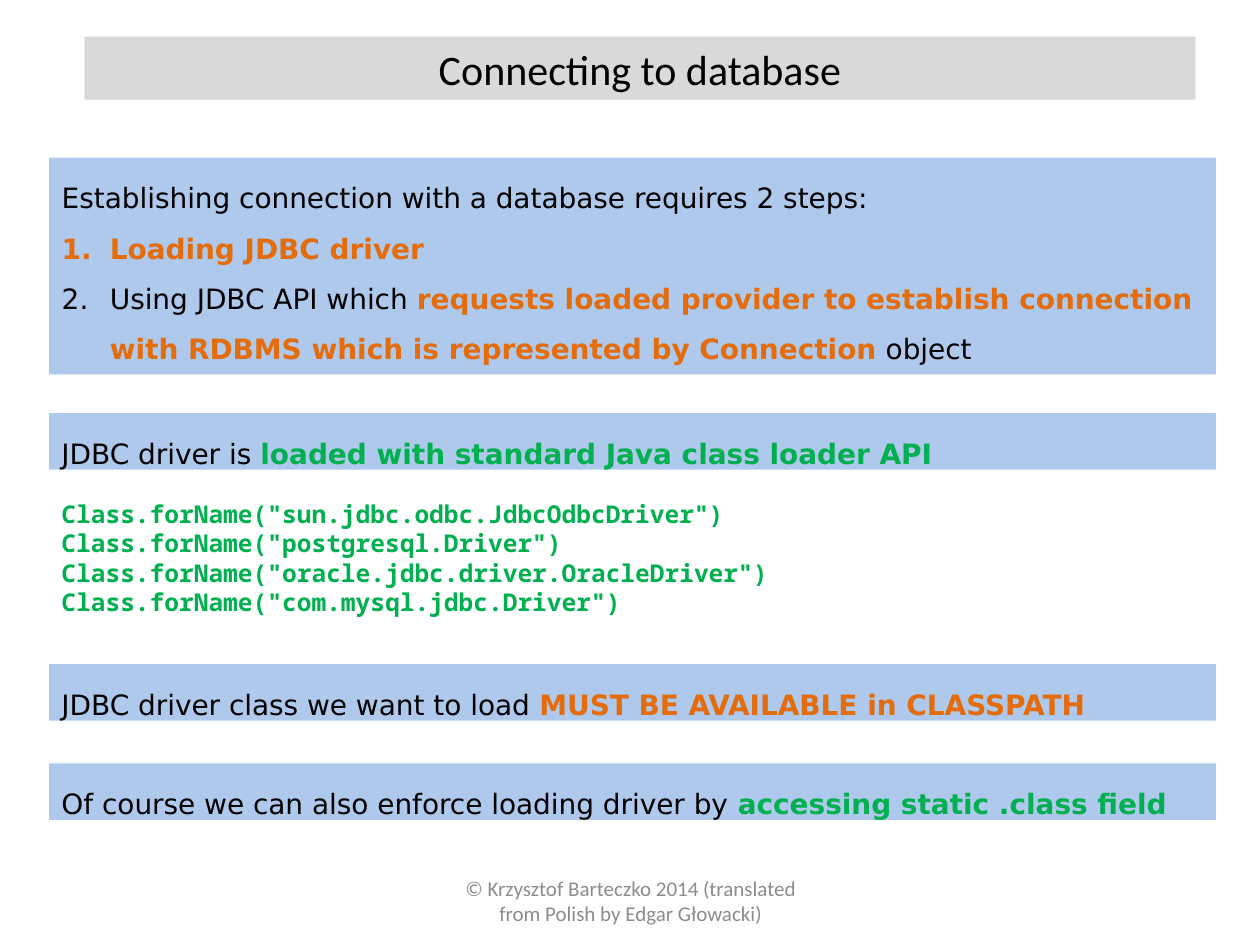
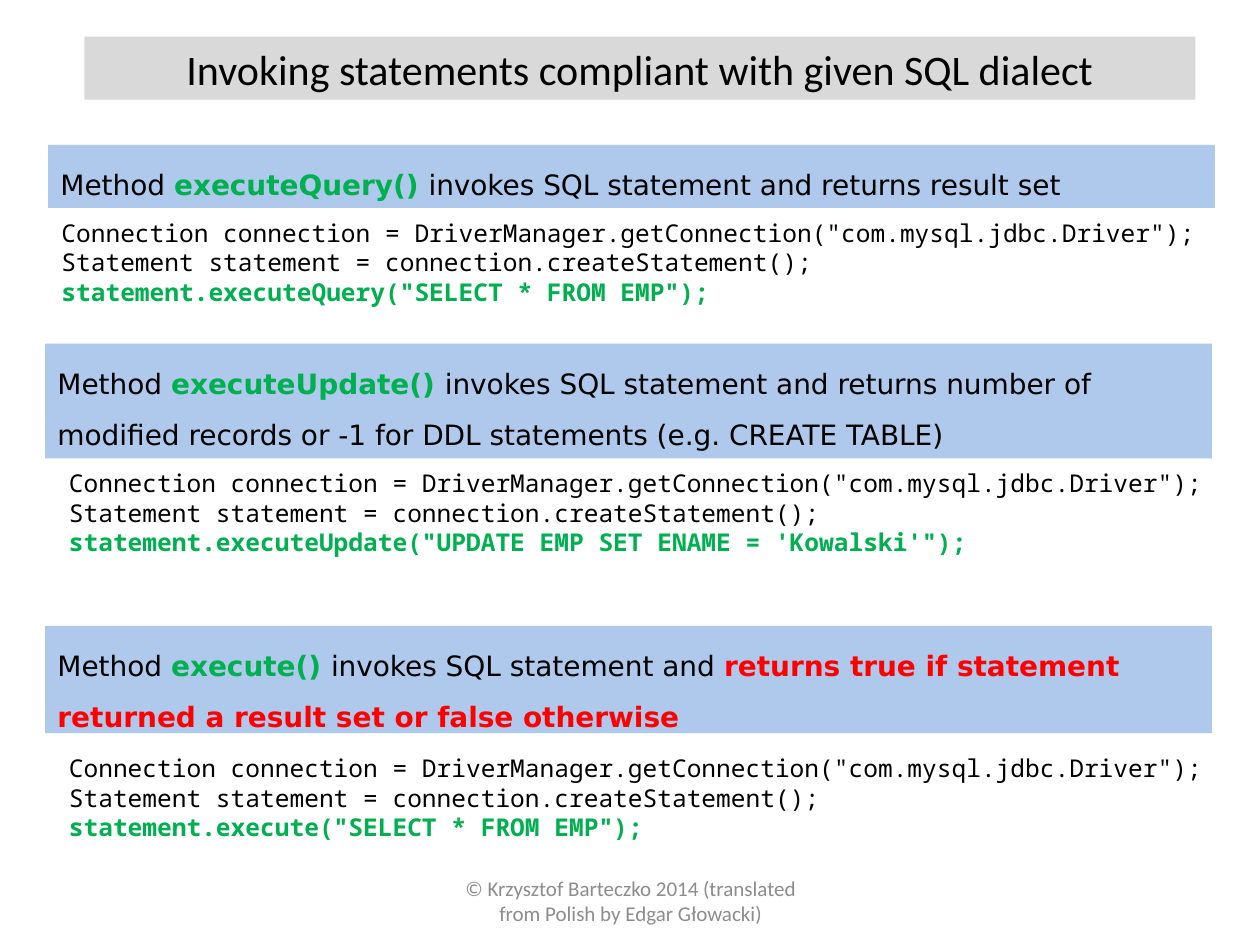
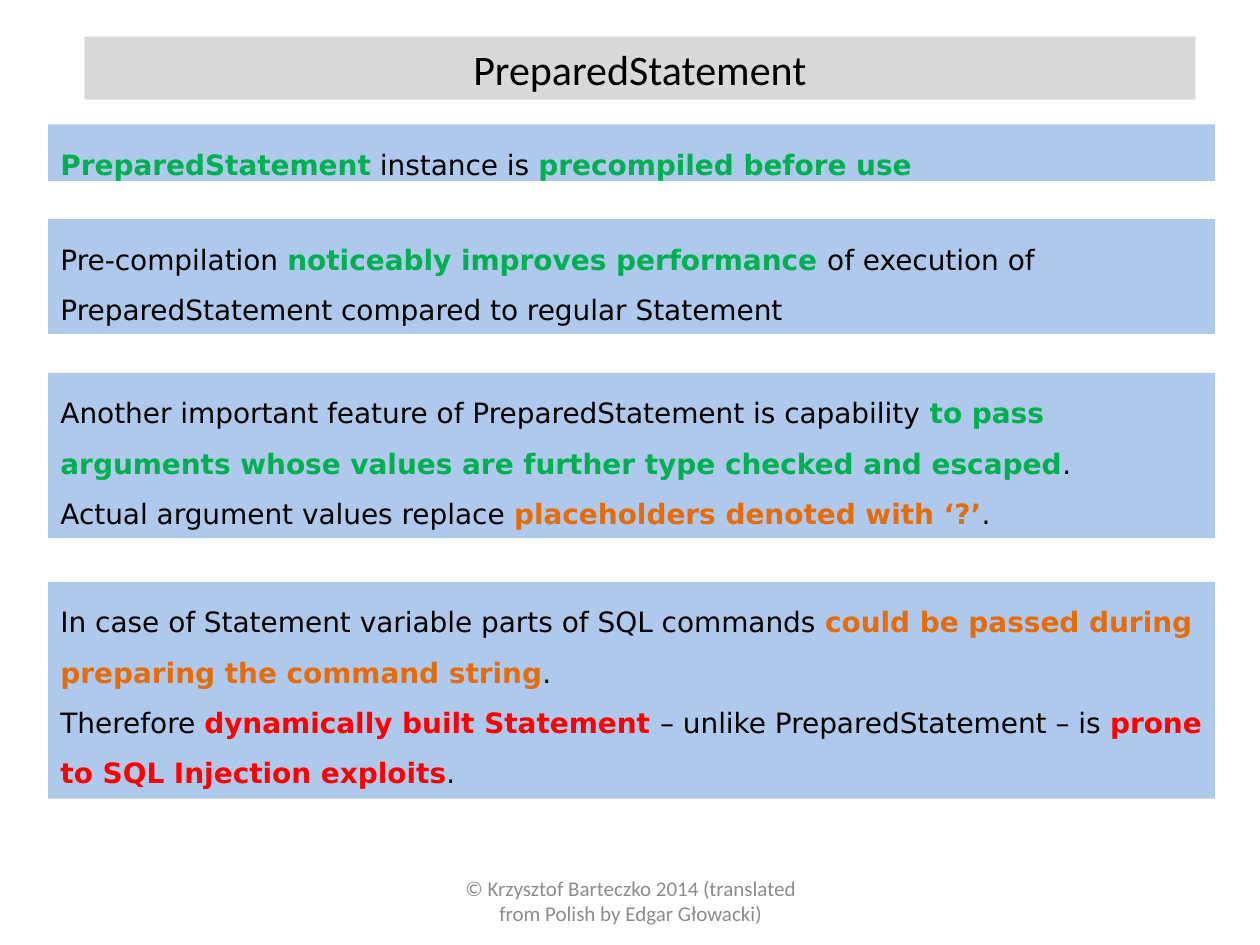
from lxml import etree
from pptx import Presentation
from pptx import util as u
from pptx.dml import color
from pptx.enum import shapes, text
from pptx.oxml import ns

COLOURS = {
    "title_bar": "D9D9D9",
    "band": "8EB4E3",
    "ink": "000000",
    "footer": "8C8C8C",
    "green": "00B050",
    "orange": "E46C0A",
    "red": "FF0000",
}
HEADING, PROSE, CODE = ("Calibri", 24), ("DejaVu Sans", 16), ("Noto Sans Mono", 14)
FOOTNOTE = ("Calibri", 12)
COPYRIGHT = "© Krzysztof Barteczko 2014 (translated from Polish by Edgar Głowacki)"
TITLE_ONLY, TITLE_AND_BODY = 5, 1
WIDTH = 23.52
LEFT = 0.99
NUMBER_INDENT = 0.97
ONE_LINE, TWO_LINES, THREE_LINES, FOUR_LINES = 1.14, 2.31, 3.33, 4.37
CODE_LINE = 0.6


class Deck:
    """Holds the shared style and the slide being filled."""

    def __init__(self):
        self.prs = Presentation()
        self.prs.slide_width, self.prs.slide_height = u.Cm(25.4), u.Cm(19.05)
        self.slide = None

    def rgb(self, name):
        return color.RGBColor.from_string(COLOURS[name])

    def place(self, shape, left, top, width, height):
        shape.left, shape.top = u.Cm(left), u.Cm(top)
        shape.width, shape.height = u.Cm(width), u.Cm(height)

    def paint(self, shape, fill, opacity=None):
        shape.fill.solid()
        shape.fill.fore_color.rgb = self.rgb(fill)
        shape.line.fill.background()
        if opacity:
            tint = shape._element.spPr.find(".//" + ns.qn("a:srgbClr"))
            etree.SubElement(tint, ns.qn("a:alpha"), val=str(opacity * 1000))

    def tone(self, font, name):
        font.bold = name in ("green", "orange", "red")
        font.color.rgb = self.rgb(name)

    def bullet(self, paragraph, numbered):
        props = paragraph._p.get_or_add_pPr()
        indent = u.Cm(NUMBER_INDENT) if numbered else 0
        props.set("marL", str(indent))
        props.set("indent", str(-indent))
        if numbered:
            etree.SubElement(props, ns.qn("a:buFont"), typeface="+mj-lt")
            etree.SubElement(props, ns.qn("a:buAutoNum"), type="arabicPeriod")
        else:
            etree.SubElement(props, ns.qn("a:buNone"))

    def set_text(self, shape, paragraphs, face, align=text.PP_ALIGN.LEFT, spacing=1.0,
                 anchor=text.MSO_ANCHOR.TOP, numbered_from=None):
        frame = shape.text_frame
        frame.word_wrap = True
        frame.auto_size = text.MSO_AUTO_SIZE.NONE
        frame.vertical_anchor = anchor
        for index, parts in enumerate(paragraphs):
            paragraph = frame.add_paragraph() if index else frame.paragraphs[0]
            self.bullet(paragraph, numbered_from is not None and index >= numbered_from)
            paragraph.alignment = align
            paragraph.line_spacing = spacing
            paragraph.space_before = u.Pt(0)
            base = parts[0][1] if len(parts) == 1 else "ink"
            paragraph.font.name, paragraph.font.size = face[0], u.Pt(face[1])
            self.tone(paragraph.font, base)
            for words, tone in parts:
                run = paragraph.add_run()
                run.text = words
                if tone != base:
                    self.tone(run.font, tone)

    def textbox(self, left, top, width, height):
        box = self.slide.shapes.add_textbox(0, 0, 0, 0)
        self.place(box, left, top, width, height)
        return box

    def start(self, title, layout=TITLE_ONLY):
        self.slide = self.prs.slides.add_slide(self.prs.slide_layouts[layout])
        bar = self.slide.shapes.title
        self.place(bar, 1.7, 0.74, 22.4, 1.27)
        self.paint(bar, "title_bar")
        self.set_text(bar, [[(title, "ink")]], HEADING, text.PP_ALIGN.CENTER)
        footer = self.textbox(8.69, 17.65, 8.05, 1.02)
        self.set_text(footer, [[(COPYRIGHT, "footer")]], FOOTNOTE, text.PP_ALIGN.CENTER,
                      anchor=text.MSO_ANCHOR.MIDDLE)

    def fill_band(self, band, left, top, height, paragraphs, numbered_from=None):
        self.place(band, left, top, WIDTH, height)
        self.paint(band, "band", 71)
        self.set_text(band, paragraphs, PROSE, spacing=1.5, numbered_from=numbered_from)

    def band(self, left, top, height, *paragraphs):
        band = self.slide.shapes.add_shape(shapes.MSO_SHAPE.RECTANGLE, 0, 0, 0, 0)
        band.shadow.inherit = False
        self.fill_band(band, left, top, height, paragraphs)

    def steps(self, left, top, height, *paragraphs):
        self.fill_band(self.slide.placeholders[1], left, top, height, paragraphs, 1)

    def code(self, left, top, *lines):
        listing = self.textbox(left, top, WIDTH, CODE_LINE * len(lines) + 0.25)
        self.set_text(listing, [[line] for line in lines], CODE)


def connecting(deck):
    deck.start("Connecting to database", TITLE_AND_BODY)
    deck.steps(
        LEFT, 3.18, FOUR_LINES,
        [("Establishing connection with a database requires 2 steps:", "ink")],
        [("Loading JDBC driver", "orange")],
        [("Using JDBC API which ", "ink"),
         ("requests loaded provider to establish connection with RDBMS "
          "which is represented by Connection", "orange"),
         (" object", "ink")])
    deck.band(LEFT, 8.33, ONE_LINE,
              [("JDBC driver is ", "ink"),
               ("loaded with standard Java class loader API", "green")])
    drivers = ("sun.jdbc.odbc.JdbcOdbcDriver", "postgresql.Driver",
               "oracle.jdbc.driver.OracleDriver", "com.mysql.jdbc.Driver")
    deck.code(LEFT, 9.93, *((f'Class.forName("{driver}")', "green") for driver in drivers))
    deck.band(LEFT, 13.39, ONE_LINE,
              [("JDBC driver class we want to load ", "ink"),
               ("MUST BE AVAILABLE in CLASSPATH", "orange")])
    deck.band(LEFT, 15.39, ONE_LINE,
              [("Of course we can also enforce loading driver by ", "ink"),
               ("accessing static .class field", "green")])


def invoking(deck):
    deck.start("Invoking statements compliant with given SQL dialect")
    methods = [
        ("executeQuery", '"SELECT * FROM EMP"', (0.97, 2.92, 1.27), (LEFT, 4.27),
         [("invokes SQL statement and returns result set", "ink")]),
        ("executeUpdate", "\"UPDATE EMP SET ENAME = 'Kowalski'\"",
         (0.91, 6.93, TWO_LINES), (1.14, 9.32),
         [("invokes SQL statement and returns number of modified records "
           "or -1 for DDL statements (e.g. CREATE TABLE)", "ink")]),
        ("execute", '"SELECT * FROM EMP"', (0.91, 12.62, 2.16), (1.14, 15.06),
         [("invokes SQL statement and ", "ink"),
          ("returns true if statement returned a result set or false otherwise", "red")]),
    ]
    for method, sql, band_at, code_at, effect in methods:
        deck.band(*band_at, [("Method ", "ink"), (f"{method}() ", "green"), *effect])
        deck.code(
            *code_at,
            ('Connection connection = DriverManager.getConnection("com.mysql.jdbc.Driver");',
             "ink"),
            ("Statement statement = connection.createStatement();", "ink"),
            (f"statement.{method}({sql});", "green"))


def prepared(deck):
    deck.start("PreparedStatement")
    left = 0.97
    deck.band(left, 2.51, ONE_LINE,
              [("PreparedStatement", "green"), (" instance is ", "ink"),
               ("precompiled before use", "green")])
    deck.band(left, 4.42, TWO_LINES,
              [("Pre-compilation ", "ink"), ("noticeably improves performance ", "green"),
               ("of execution of PreparedStatement compared to regular Statement", "ink")])
    deck.band(left, 7.52, THREE_LINES,
              [("Another important feature of PreparedStatement is capability ", "ink"),
               ("to pass arguments whose values are further type checked and escaped",
                "green"),
               (".", "ink")],
              [("Actual argument values replace ", "ink"),
               ("placeholders denoted with ‘?’", "orange"), (".", "ink")])
    deck.band(left, 11.73, FOUR_LINES,
              [("In case of Statement variable parts of SQL commands ", "ink"),
               ("could be passed during preparing the command string", "orange"),
               (".", "ink")],
              [("Therefore ", "ink"), ("dynamically built Statement ", "red"),
               ("– unlike PreparedStatement – is ", "ink"),
               ("prone to SQL Injection exploits", "red"), (".", "ink")])


def main():
    deck = Deck()
    for build in (connecting, invoking, prepared):
        build(deck)
    deck.prs.save("out.pptx")


if __name__ == "__main__":
    main()
